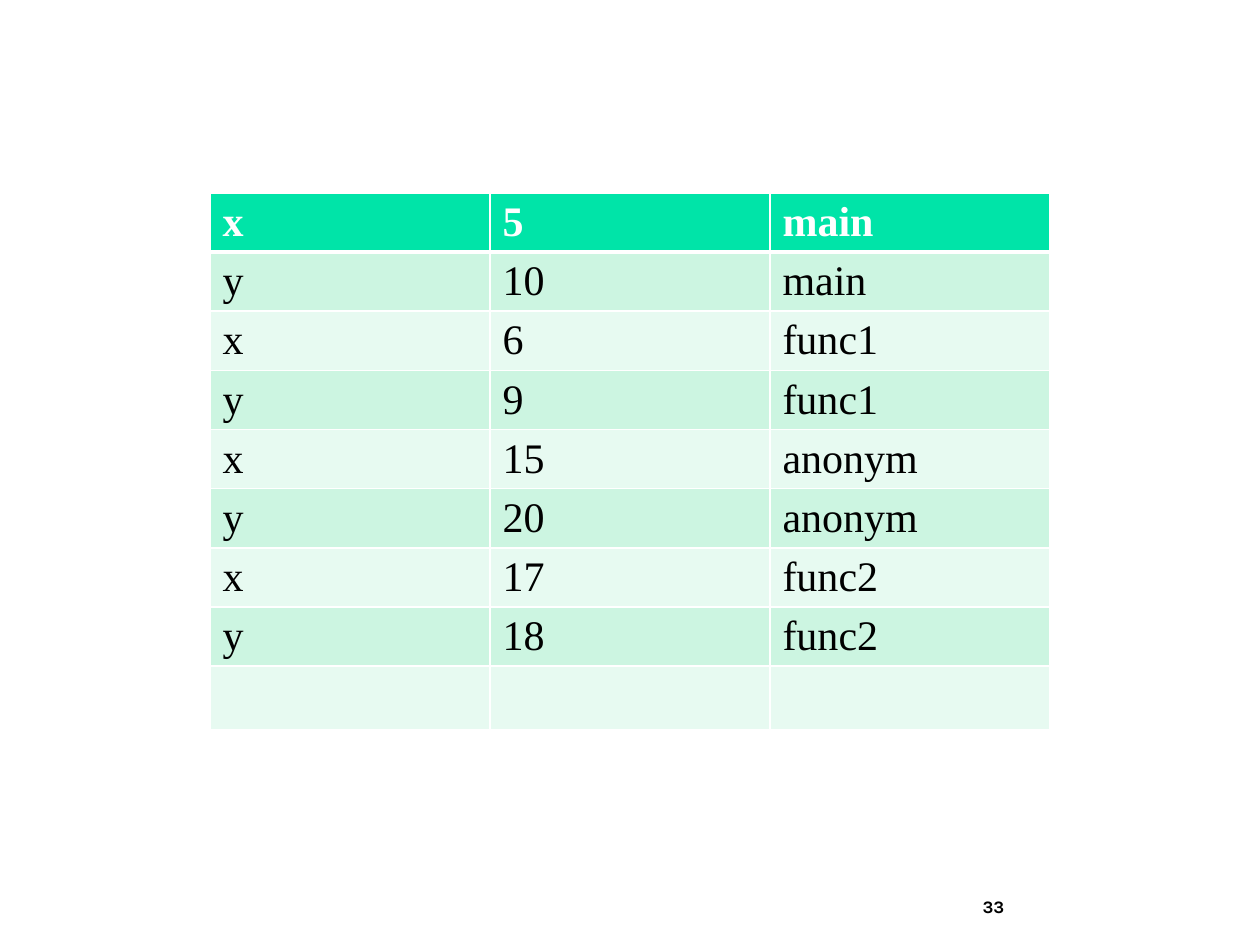
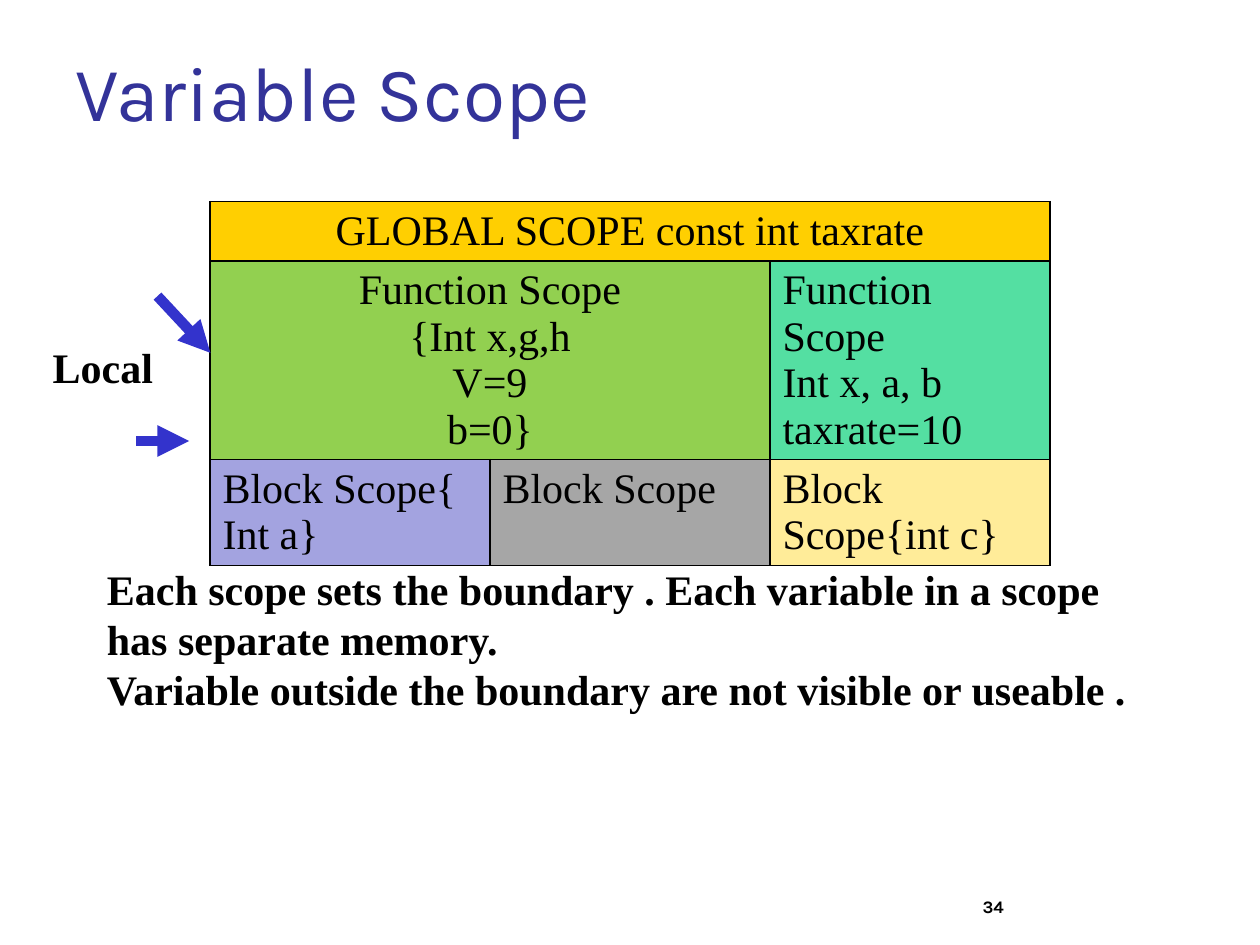
from dataclasses import dataclass

from lxml.etree import SubElement
from pptx import Presentation
from pptx.dml.color import RGBColor as RGB
from pptx.enum.shapes import MSO_CONNECTOR as CONN
from pptx.enum.text import MSO_ANCHOR as ANCHOR, MSO_AUTO_SIZE as FIT, PP_ALIGN as ALIGN
from pptx.oxml.ns import qn
from pptx.util import Inches, Pt


@dataclass(frozen=True)
class Theme:
    heading: str = "Karla"
    body: str = "Times New Roman"
    title_size: int = 44
    body_size: int = 24
    number_size: int = 10
    cell_leading: float = 26.6
    title: str = "333399"
    black: str = "000000"
    white: str = "FFFFFF"
    arrow: str = "3333CC"
    header: str = "00E4A8"
    bands: tuple = ("CCF5E1", "E7FAF1")


T = Theme()
SLIDE_W, SLIDE_H = 10, 7.5
COLS = 3
TABLE_W = SLIDE_W * 2 / 3
TABLE_LEFT = (SLIDE_W - TABLE_W) / 2
ROW_H = 0.47

VARIABLES = [
    ("x", "5", "main"),
    ("y", "10", "main"),
    ("x", "6", "func1"),
    ("y", "9", "func1"),
    ("x", "15", "anonym"),
    ("y", "20", "anonym"),
    ("x", "17", "func2"),
    ("y", "18", "func2"),
    ("", "", ""),
]

SCOPE_HEIGHTS = [ROW_H, 1.57, 0.84]
SCOPES = [
    (0, 0, 3, "GLOBAL SCOPE const int taxrate", "FFCF01"),
    (1, 0, 2, "Function Scope\n{Int x,g,h\nV=9\nb=0}", "92D050"),
    (1, 2, 1, "Function Scope\nInt x, a, b\ntaxrate=10", "54DFA2"),
    (2, 0, 1, "Block Scope{\nInt a}", "A3A3E0"),
    (2, 1, 1, "Block Scope", "A6A6A6"),
    (2, 2, 1, "Block Scope{int c}", "FFEC99"),
]
NOTES = [
    ((0.75, 4.42, 8.42, 1.31),
     "Each scope sets the boundary . Each variable in a scope has separate memory.\n"
     "Variable outside the boundary are not visible or useable ."),
    ((0.32, 2.66, 1.08, 0.5), "Local"),
]
ARROWS = [(1.25, 2.35, 1.67, 2.8), (1.08, 3.5, 1.5, 3.5)]


def style(tf, font, size, color, bold=False, align=ALIGN.LEFT, leading=None):
    for p in tf.paragraphs:
        p.alignment = align
        p.line_spacing = leading
        p.font.name = font
        p.font.size = Pt(size)
        p.font.bold = bold
        p.font.color.rgb = RGB.from_string(color)


def add_text(slide, box, text, anchor=ANCHOR.TOP):
    tf = slide.shapes.add_textbox(*map(Inches, box)).text_frame
    tf.word_wrap = True
    tf.vertical_anchor = anchor
    tf.text = text
    return tf


def add_number(slide, number):
    tf = add_text(slide, (7.7, 6.83, 2.08, 0.5), str(number), ANCHOR.BOTTOM)
    style(tf, T.heading, T.number_size, T.black, bold=True)


def add_table(slide, top, heights):
    frame = slide.shapes.add_table(
        len(heights), COLS, Inches(TABLE_LEFT), Inches(top),
        Inches(TABLE_W), Inches(sum(heights)))
    table = frame.table
    for col in table.columns:
        col.width = Inches(TABLE_W / COLS)
    for row, height in zip(table.rows, heights):
        row.height = Inches(height)
    return table


def set_borders(cell, color, widths):
    pr = cell._tc.get_or_add_tcPr()
    for i, (side, width) in enumerate(widths.items()):
        ln = pr.makeelement(qn(f"a:{side}"), {"w": str(Pt(width))})
        fill = SubElement(ln, qn("a:solidFill"))
        SubElement(fill, qn("a:srgbClr"), val=color)
        pr.insert(i, ln)


def fill_cell(cell, text, fill, color=T.black, bold=False, align=ALIGN.LEFT):
    cell.text = text
    cell.fill.solid()
    cell.fill.fore_color.rgb = RGB.from_string(fill)
    style(cell.text_frame, T.body, T.body_size, color, bold, align, Pt(T.cell_leading))


def add_arrow(slide, ends):
    line = slide.shapes.add_connector(CONN.STRAIGHT, *map(Inches, ends))
    line.line.color.rgb = RGB.from_string(T.arrow)
    line.line.width = Pt(6)
    SubElement(line.line._get_or_add_ln(), qn("a:tailEnd"), type="triangle")
    SubElement(line._element.spPr, qn("a:effectLst"))


def add_title(slide, text):
    sp = slide.shapes.title
    sp.left, sp.top, sp.width, sp.height = map(Inches, (0.5, 0.3, 9, 1.25))
    tf = sp.text_frame
    tf.text = text
    tf.auto_size = FIT.NONE
    tf.vertical_anchor = ANCHOR.TOP
    style(tf, T.heading, T.title_size, T.title)


def build_variables(prs):
    slide = prs.slides.add_slide(prs.slide_layouts[6])
    add_number(slide, 33)
    table = add_table(slide, 1.53, [ROW_H] * len(VARIABLES))
    for r, values in enumerate(VARIABLES):
        head = r == 0
        fill = T.header if head else T.bands[(r - 1) % 2]
        widths = {"lnL": 1, "lnR": 1, "lnT": 3 if r == 1 else 1, "lnB": 3 if head else 1}
        for c, value in enumerate(values):
            cell = table.cell(r, c)
            fill_cell(cell, value, fill, T.white if head else T.black, head)
            set_borders(cell, T.white, widths)


def build_scopes(prs):
    slide = prs.slides.add_slide(prs.slide_layouts[5])
    add_title(slide, "Variable Scope")
    add_number(slide, 34)
    table = add_table(slide, 1.6, SCOPE_HEIGHTS)
    for r, c, span, text, fill in SCOPES:
        cell = table.cell(r, c)
        if span > 1:
            cell.merge(table.cell(r, c + span - 1))
        fill_cell(cell, text, fill, align=ALIGN.CENTER if span > 1 else ALIGN.LEFT)
    for cell in table.iter_cells():
        set_borders(cell, T.black, dict.fromkeys(("lnL", "lnR", "lnT", "lnB"), 1))
    for ends in ARROWS:
        add_arrow(slide, ends)
    for box, text in NOTES:
        tf = add_text(slide, box, text)
        style(tf, T.body, T.body_size, T.black, bold=True)


def main():
    prs = Presentation()
    prs.slide_width, prs.slide_height = Inches(SLIDE_W), Inches(SLIDE_H)
    build_variables(prs)
    build_scopes(prs)
    prs.save("out.pptx")


if __name__ == "__main__":
    main()
